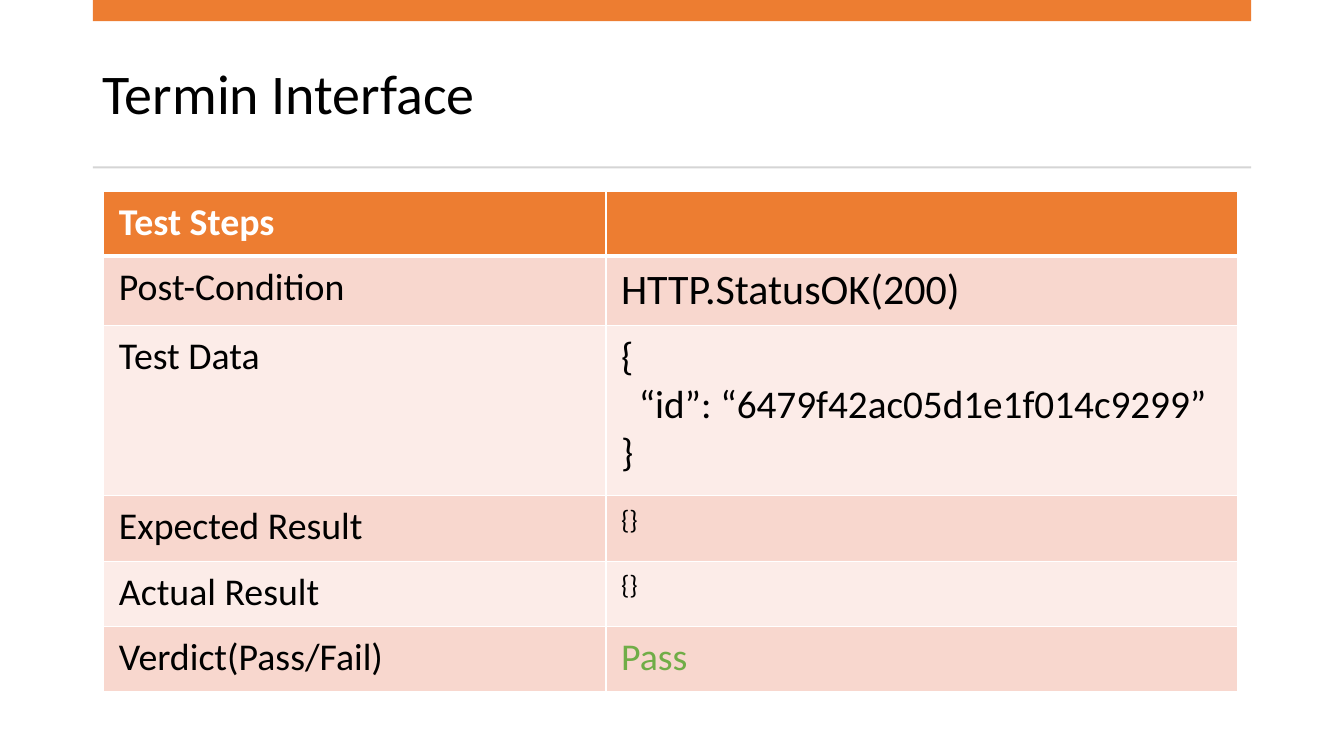
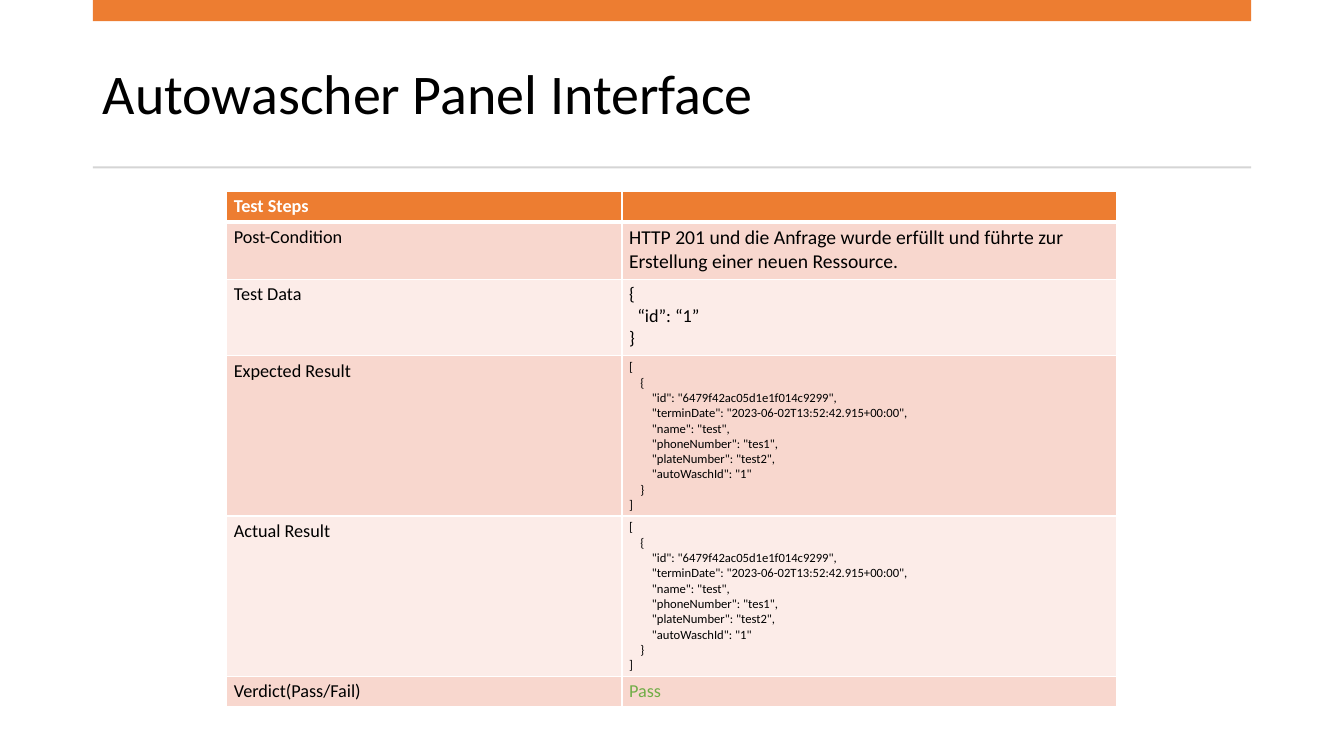
import pptx
import pptx.dml.color
import pptx.enum.shapes
import pptx.enum.text
import pptx.oxml
import pptx.oxml.ns
import pptx.util

Inches = pptx.util.Inches
Pt = pptx.util.Pt

# Shared look
FONT = "Calibri"
ORANGE, RULE_GREY = "ED7D31", "D5D5D5"
WHITE, BLACK, PASS_GREEN = "FFFFFF", "000000", "70AD47"
ROW_TINTS = ["F8D7CE", "FCECE8"]
CONTENT_LEFT, CONTENT_WIDTH = 0.92, 11.49
TABLE_TOP = 1.9
STEP_LABELS = ["Test Steps", "Post-Condition", "Test Data",
               "Expected Result", "Actual Result", "Verdict(Pass/Fail)"]

# Test content
TERMIN_DATA = """{
  “id”: “6479f42ac05d1e1f014c9299”
}"""
PANEL_DATA = """{
  “id”: “1”
}"""
PANEL_RESULT = """[
    {
        "id": "6479f42ac05d1e1f014c9299",
        "terminDate": "2023-06-02T13:52:42.915+00:00",
        "name": "test",
        "phoneNumber": "tes1",
        "plateNumber": "test2",
        "autoWaschId": "1"
    }
]"""
PANEL_CONDITION = ("HTTP 201 und die Anfrage wurde erfüllt und führte zur "
                   "Erstellung einer neuen Ressource.")

# One entry per slide; each answer is a text with its size
TEST_CASES = [
    {
        "title": "Termin Interface",
        "left": 1.03,
        "columns": [4.98, 6.27],
        "rows": [0.64, 0.69, 1.69, 0.65, 0.65, 0.64],
        "insets": (0.15, 0.08),
        "label_size": 27,
        "answers": [("", 27), ("HTTP.StatusOK(200)", 30), (TERMIN_DATA, 28),
                    ("{}", 19), ("{}", 19), ("Pass", 27)],
    },
    {
        "title": "Autowascher Panel Interface",
        "left": 2.25,
        "columns": [3.92, 4.9],
        "rows": [0.3, 0.57, 0.76, 1.59, 1.59, 0.3],
        "insets": (0.07, 0.04),
        "label_size": 13,
        "answers": [("", 13), (PANEL_CONDITION, 14), (PANEL_DATA, 13),
                    (PANEL_RESULT, 9), (PANEL_RESULT, 9), ("Pass", 13)],
    },
]


def rgb(value):
    return pptx.dml.color.RGBColor.from_string(value)


def set_attributes(target, values):
    for name, value in values.items():
        setattr(target, name, value)


def write_text(frame, text, size, color, bold=False):
    frame.text = text
    for paragraph in frame.paragraphs:
        for run in paragraph.runs:
            set_attributes(run.font, {"name": FONT, "size": Pt(size), "bold": bold})
            run.font.color.rgb = rgb(color)
        if not paragraph.runs:
            # An empty line keeps its height from the end mark
            paragraph._p.append(pptx.oxml.parse_xml(
                f'<a:endParaRPr {pptx.oxml.ns.nsdecls("a")} sz="{size * 100}"/>'))


def add_bar(slide, top, height, color):
    bar = slide.shapes.add_shape(
        pptx.enum.shapes.MSO_SHAPE.RECTANGLE, Inches(CONTENT_LEFT), Inches(top),
        Inches(CONTENT_WIDTH), Inches(height))
    bar.shadow.inherit = False
    bar.fill.solid()
    bar.fill.fore_color.rgb = rgb(color)
    bar.line.fill.background()


def add_title(slide, text):
    title = slide.shapes.add_textbox(
        Inches(CONTENT_LEFT), Inches(0.37), Inches(CONTENT_WIDTH), Inches(1.18))
    set_attributes(title.text_frame, {
        "word_wrap": True,
        "vertical_anchor": pptx.enum.text.MSO_ANCHOR.MIDDLE,
    })
    write_text(title.text_frame, text, 40, BLACK)
    title.text_frame.paragraphs[0].line_spacing = 0.9


def add_borders(cell, row_index):
    # The rule below the header is thicker than the rest
    widths = {"L": 1, "R": 1,
              "T": 3 if row_index == 1 else 1,
              "B": 3 if row_index == 0 else 1}
    properties = cell._tc.get_or_add_tcPr()
    for side, width in widths.items():
        properties.append(pptx.oxml.parse_xml(
            f'<a:ln{side} {pptx.oxml.ns.nsdecls("a")} w="{Pt(width)}">'
            f'<a:solidFill><a:srgbClr val="{WHITE}"/></a:solidFill></a:ln{side}>'))


def style_cell(cell, row_index, insets):
    across, down = map(Inches, insets)
    set_attributes(cell, {"margin_left": across, "margin_right": across,
                          "margin_top": down, "margin_bottom": down})
    add_borders(cell, row_index)
    cell.fill.solid()
    fill = ROW_TINTS[(row_index - 1) % 2] if row_index else ORANGE
    cell.fill.fore_color.rgb = rgb(fill)


def add_test_table(slide, case):
    columns, rows = case["columns"], case["rows"]
    table = slide.shapes.add_table(
        len(rows), len(columns), Inches(case["left"]), Inches(TABLE_TOP),
        Inches(sum(columns)), Inches(sum(rows))).table
    for column, width in zip(table.columns, columns):
        column.width = Inches(width)
    for row, height in zip(table.rows, rows):
        row.height = Inches(height)

    for index, (label, (answer, size)) in enumerate(zip(STEP_LABELS, case["answers"])):
        label_cell, answer_cell = table.cell(index, 0), table.cell(index, 1)
        for cell in (label_cell, answer_cell):
            style_cell(cell, index, case["insets"])
        is_header = index == 0
        write_text(label_cell.text_frame, label, case["label_size"],
                   WHITE if is_header else BLACK, is_header)
        write_text(answer_cell.text_frame, answer, size,
                   PASS_GREEN if answer == "Pass" else BLACK)


def main():
    deck = pptx.Presentation()
    set_attributes(deck, {"slide_width": Inches(13.33), "slide_height": Inches(7.5)})
    for case in TEST_CASES:
        slide = deck.slides.add_slide(deck.slide_layouts[6])
        add_title(slide, case["title"])
        add_bar(slide, 0, 0.21, ORANGE)
        add_bar(slide, 1.65, 0.02, RULE_GREY)
        add_test_table(slide, case)
    deck.save("out.pptx")


if __name__ == "__main__":
    main()
